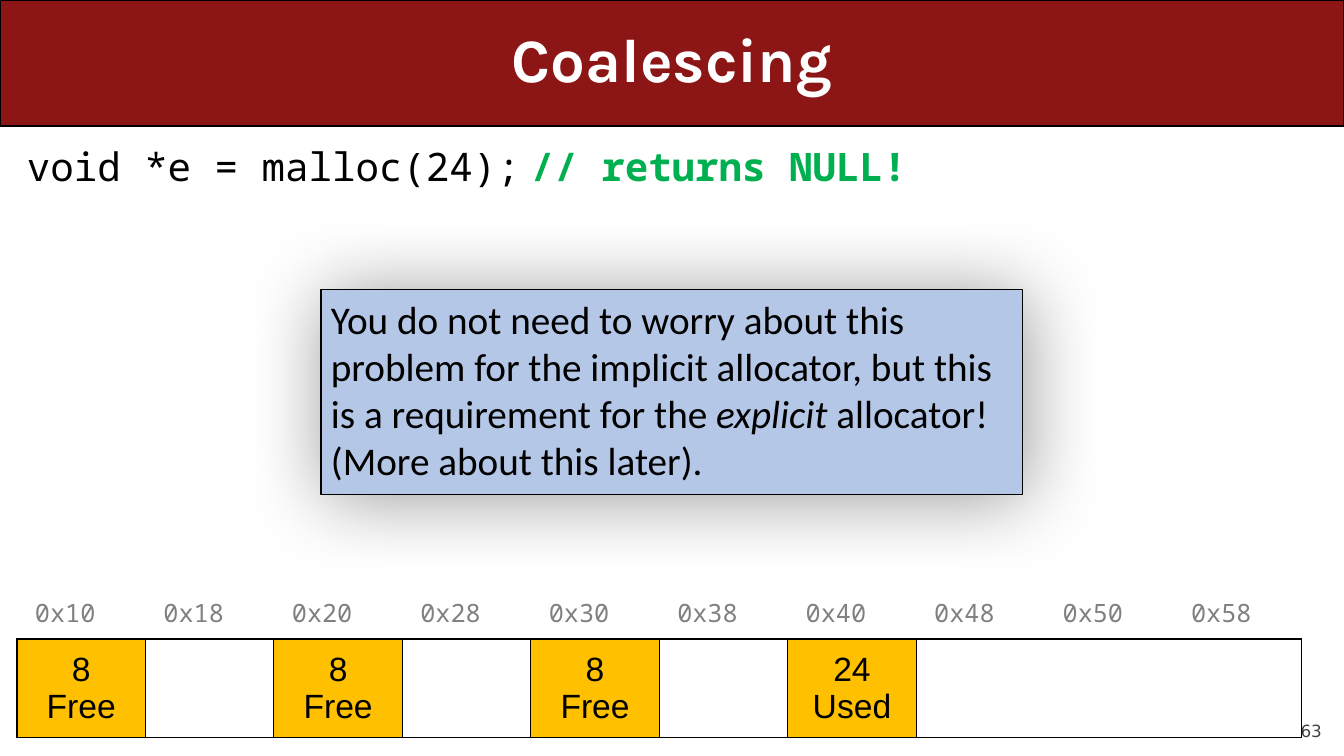
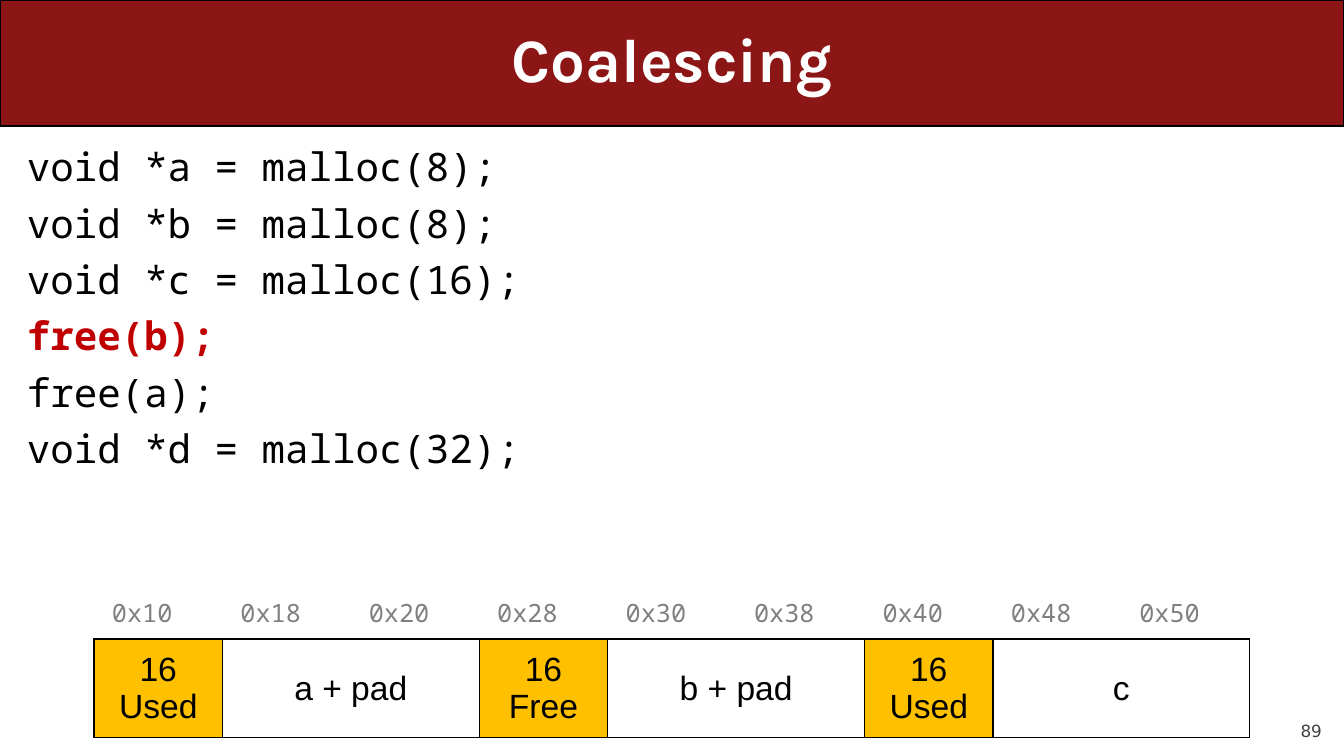
from lxml import etree
from pptx import Presentation
from pptx import util as u
from pptx.dml import color
from pptx.enum import shapes, text
from pptx.oxml import ns

PX = u.Inches(1) / 100.8
COLOURS = {"band": "8C1515", "title": "FFFFFF", "ink": "000000", "comment": "00B050",
           "freed": "C00000", "address": "808080", "header": "FFC000",
           "callout": "B4C7E7", "number": "424242"}
TITLE = {"name": "Karla", "size": u.Pt(44), "bold": True, "colour": "title"}
CODE = {"name": "Noto Sans Mono", "size": u.Pt(28), "colour": "ink"}
ADDRESS = {"name": "Noto Sans Mono", "size": u.Pt(18), "colour": "address"}
BLOCK = {"name": "Arial", "size": u.Pt(24), "colour": "ink"}
CALLOUT = {"name": "Calibri", "size": u.Pt(28), "colour": "ink"}
NUMBER = {"name": "DejaVu Sans", "size": u.Pt(12), "colour": "number"}
COMMENT = {"bold": True, "colour": "comment"}
FREED = {"bold": True, "colour": "freed"}
LEFT, CENTRE, RIGHT = text.PP_ALIGN.LEFT, text.PP_ALIGN.CENTER, text.PP_ALIGN.RIGHT
TOP, MIDDLE, BOTTOM = (text.MSO_ANCHOR.TOP, text.MSO_ANCHOR.MIDDLE, text.MSO_ANCHOR.BOTTOM)
PLAIN_TABLE = "{2D5ABB26-0587-4C30-8999-92F81FD0307C}"


def px(*lengths):
    """Turn px lengths into EMU."""
    return [round(length * PX) for length in lengths]


def rgb(key):
    """Look up a named colour."""
    return color.RGBColor.from_string(COLOURS[key])


def apply(target, values):
    """Set each named value as an attribute of the target."""
    for key, value in values.items():
        setattr(target, key, value)


def write(frame, lines, look, align=LEFT, spacing=None, gap=0):
    """Fill a frame with lines, each a list of (wording, format change) pairs."""
    for index, line in enumerate(lines):
        paragraph = frame.add_paragraph() if index else frame.paragraphs[0]
        apply(paragraph, {"alignment": align, "line_spacing": spacing,
                          "space_before": u.Pt(gap if index else 0)})
        for wording, change in line:
            run = paragraph.add_run()
            run.text = wording
            values = {**look, **change}
            run.font.color.rgb = rgb(values.pop("colour"))
            apply(run.font, values)


def add_text(slide, box, lines, look, anchor=TOP, inset=True, **layout):
    """Place a wrapped text box."""
    frame = slide.shapes.add_textbox(*px(*box)).text_frame
    apply(frame, {"word_wrap": True, "vertical_anchor": anchor})
    if not inset:
        apply(frame, dict.fromkeys(
            ("margin_left", "margin_top", "margin_right", "margin_bottom"), 0))
    write(frame, lines, look, **layout)


def add_panel(slide, box, kind, fill):
    """Place a filled, thinly outlined shape without shadow."""
    panel = slide.shapes.add_shape(kind, *px(*box))
    panel.shadow.inherit = False
    panel.fill.solid()
    panel.fill.fore_color.rgb = rgb(fill)
    panel.line.color.rgb = rgb("ink")
    panel.line.width = u.Pt(0.75)
    return panel


def add_frame(slide, title, number):
    """Place the page number, the title band and the title."""
    add_text(slide, (1210, 701, 112, 40), [[(number, {})]], NUMBER, BOTTOM, False, align=RIGHT)
    band = (0, 0, 1344, 126)
    panel = add_panel(slide, band, shapes.MSO_SHAPE.ROUNDED_RECTANGLE, "band")
    panel.adjustments[0] = 0
    left, top, width, height = band
    add_text(slide, (left + 50, top, width - 100, height), [[(title, {})]], TITLE, MIDDLE,
             align=CENTRE, spacing=0.9)


def add_borders(cell, sides):
    """Draw a black one-point border on the given sides of a cell."""
    properties = cell._tc.get_or_add_tcPr()
    for side in sides:
        line = etree.SubElement(properties, ns.qn(f"a:ln{side}"), w=str(u.Pt(1)))
        fill = etree.SubElement(line, ns.qn("a:solidFill"))
        etree.SubElement(fill, ns.qn("a:srgbClr"), val=COLOURS["ink"])


def add_heap(slide, box, blocks):
    """Draw the heap: addresses above blocks of (wording, columns, is header)."""
    count = sum(columns for _, columns, _ in blocks)
    left, top, width, height = box
    heap = slide.shapes.add_table(2, count, *px(*box)).table
    apply(heap, {"first_row": False, "horz_banding": False})
    heap._tbl.tblPr.find(ns.qn("a:tableStyleId")).text = PLAIN_TABLE
    heap.rows[0].height, heap.rows[1].height = px(77, height - 77)
    margins = dict(zip(("margin_left", "margin_top", "margin_right", "margin_bottom"),
                       px(18, 9, 18, 9)))
    for index, column in enumerate(heap.columns):
        column.width = px(width / count)[0]
        for row, sides, anchor in ((0, "B", BOTTOM), (1, "LRTB", MIDDLE)):
            cell = heap.cell(row, index)
            add_borders(cell, sides)
            cell.fill.background()
            apply(cell, {**margins, "vertical_anchor": anchor})
        write(heap.cell(0, index).text_frame, [[(f"0x{16 + 8 * index:x}", {})]], ADDRESS)
    start = 0
    for wording, columns, is_header in blocks:
        cell = heap.cell(1, start)
        if columns > 1:
            cell.merge(heap.cell(1, start + columns - 1))
        if is_header:
            cell.fill.solid()
            cell.fill.fore_color.rgb = rgb("header")
        if wording:
            write(cell.text_frame, [[(part, {})] for part in wording.split("\n")],
                  BLOCK, CENTRE)
        start += columns


def add_callout(slide, box, line):
    """Place the note with its wide soft shadow."""
    note = add_panel(slide, box, shapes.MSO_SHAPE.RECTANGLE, "callout")
    effects = note._element.spPr.find(ns.qn("a:effectLst"))
    shadow = etree.SubElement(effects, ns.qn("a:outerShdw"), blurRad=str(u.Pt(58)),
                              dist=str(u.Pt(3)), dir="2700000", algn="tl", rotWithShape="0")
    tint = etree.SubElement(shadow, ns.qn("a:srgbClr"), val=COLOURS["ink"])
    etree.SubElement(tint, ns.qn("a:alpha"), val="40000")
    apply(note.text_frame, {"word_wrap": True, "vertical_anchor": TOP})
    write(note.text_frame, [line], CALLOUT)


def add_heap_slide(deck, number, code, heap_box, blocks):
    """Build one slide of code above its heap."""
    slide = deck.slides.add_slide(deck.slide_layouts[6])
    add_frame(slide, "Coalescing", number)
    add_text(slide, (17, 143, 1302, 420), code, CODE, spacing=0.9, gap=10)
    add_heap(slide, heap_box, blocks)
    return slide


def main():
    """Build and save the deck."""
    deck = Presentation()
    deck.slide_width, deck.slide_height = px(1344, 756)

    failed = add_heap_slide(
        deck, "63", [[("void *e = malloc(24);\t", {}), ("// returns NULL!", COMMENT)]],
        (17, 562, 1285, 171),
        [("8\nFree", 1, True), ("", 1, False)] * 3 + [("24\nUsed", 1, True), ("", 3, False)])
    add_callout(failed, (321, 290, 702, 205), [
        ("You do not need to worry about this problem for the implicit allocator, "
         "but this is a requirement for the ", {}),
        ("explicit", {"italic": True}),
        (" allocator! (More about this later).", {})])

    add_heap_slide(
        deck, "89",
        [[("void *a = malloc(8);", {})], [("void *b = malloc(8);", {})],
         [("void *c = malloc(16);", {})], [("free(b);", FREED)],
         [("free(a);", {})], [("void *d = malloc(32);", {})]],
        (94, 562, 1156, 171),
        [("16\nUsed", 1, True), ("a + pad", 2, False), ("16\nFree", 1, True),
         ("b + pad", 2, False), ("16\nUsed", 1, True), ("c", 2, False)])

    deck.save("out.pptx")


if __name__ == "__main__":
    main()
